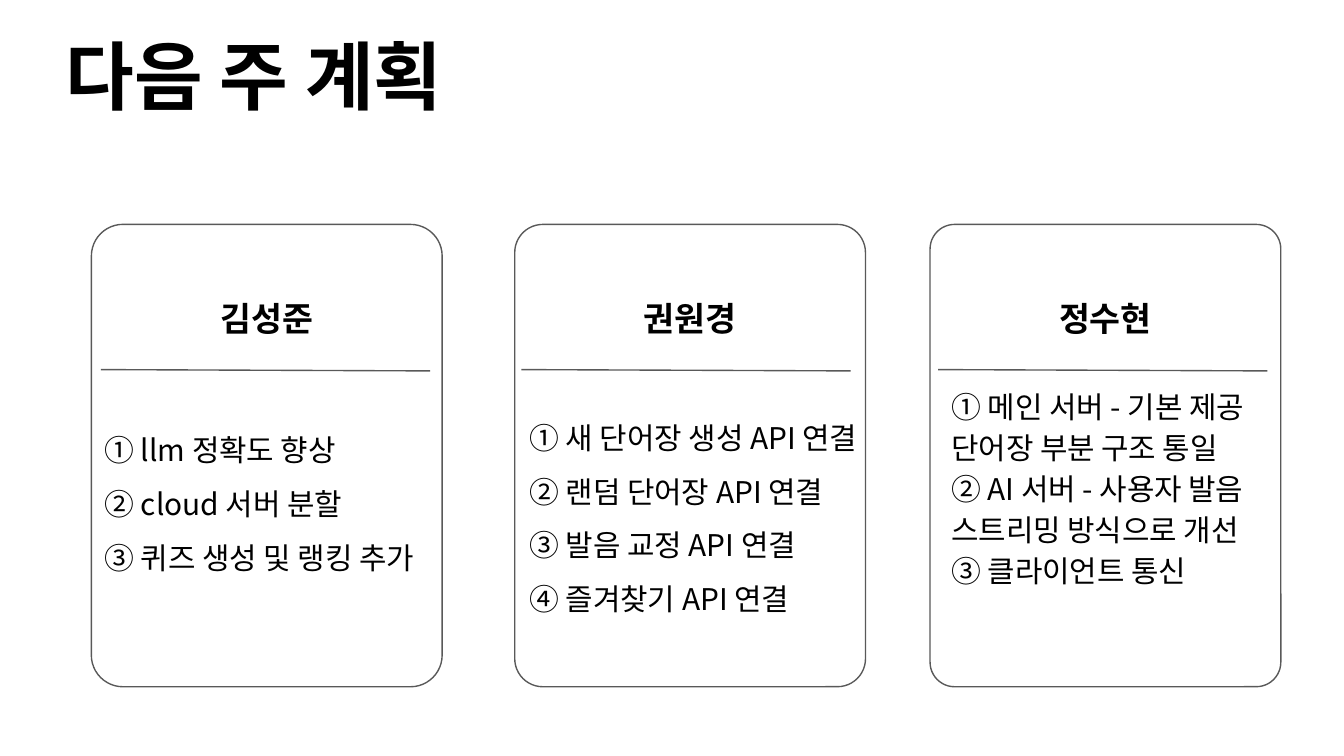
from dataclasses import dataclass

from lxml import etree
from pptx import Presentation
from pptx import util as u
from pptx.dml.color import RGBColor
from pptx.enum import shapes, text
from pptx.oxml import ns

SCALE = 9144  # EMU per px, 100 px to the inch


@dataclass(frozen=True)
class Theme:
    font: str = "Noto Sans CJK KR"
    ink: RGBColor = RGBColor(0, 0, 0)
    edge: RGBColor = RGBColor(0x59, 0x59, 0x59)
    line: float = 0.75
    title: int = 40
    name: int = 18
    body: int = 16


@dataclass(frozen=True)
class Plan:
    name: str
    tasks: list
    left: int
    round: float
    rule: int  # left of the divider, from the card's left
    box: tuple  # body box, from the card's top left
    lead: float
    right: int = 10  # right inset of the body


THEME = Theme()
WIDE = 1000
CARD_TOP, CARD_W, CARD_H = 167, 261, 344
PLANS = [
    Plan("김성준", ["① llm 정확도 향상", "② cloud 서버 분할", "③ 퀴즈 생성 및 랭킹 추가"],
         68, 0.09, 7, (0, 131, 276, 168), 1.5, 6),
    Plan("권원경", ["① 새 단어장 생성 API 연결", "② 랜덤 단어장 API 연결",
                 "③ 발음 교정 API 연결", "④ 즐겨찾기 API 연결"],
         383, 0.08, 5, (1, 122, 268, 209), 1.5),
    Plan("정수현", ["① 메인 서버 - 기본 제공 단어장 부분 구조 통일",
                 "② AI 서버 - 사용자 발음 스트리밍 방식으로 개선", "③ 클라이언트 통신"],
         692, 0.07, 6, (6, 108, 246, 233), 1.15),
]


def px(*vals):
    return [u.Emu(v * SCALE) for v in vals]


def style(line):
    line.color.rgb = THEME.edge
    line.width = u.Pt(THEME.line)


def write(slide, box, lines, size, bold=False, align=text.PP_ALIGN.LEFT,
          lead=1.0, right=10, anchor=text.MSO_ANCHOR.TOP,
          fit=text.MSO_AUTO_SIZE.SHAPE_TO_FIT_TEXT):
    """Add a text box with one paragraph for each line."""
    frame = slide.shapes.add_textbox(*px(*box)).text_frame
    frame.word_wrap = True
    frame.auto_size = fit
    frame.vertical_anchor = anchor
    frame.margin_left, frame.margin_top, frame.margin_bottom = px(10, 10, 10)
    frame.margin_right = px(right)[0]
    frame.text = "\n".join(lines)
    for para in frame.paragraphs:
        para.alignment = align
        para.line_spacing = lead
        font = para.font
        font.name, font.size, font.bold = THEME.font, u.Pt(size), bold
        font.color.rgb = THEME.ink
        # Hangul takes its typeface from a:ea, which follows a:latin
        latin = para._p.pPr.find(".//" + ns.qn("a:latin"))
        latin.addnext(etree.Element(ns.qn("a:ea"), typeface=THEME.font))
        # Kerning would narrow the spaces between words
        latin.getparent().set("kern", "0")


def head(slide, box, label):
    write(slide, box, [label], THEME.title, bold=True,
          anchor=text.MSO_ANCHOR.MIDDLE, fit=text.MSO_AUTO_SIZE.NONE)


def card(slide, box, plan):
    """Draw a person's frame, name, divider and task list."""
    x, y, w, h = box
    frame = slide.shapes.add_shape(
        shapes.MSO_SHAPE.ROUNDED_RECTANGLE, *px(x, y, w, h))
    frame.adjustments[0] = plan.round
    frame.shadow.inherit = False
    frame.fill.background()
    style(frame.line)

    start = x + plan.rule
    rule = slide.shapes.add_connector(
        shapes.MSO_CONNECTOR.STRAIGHT,
        *px(start + 245, y + 109, start, y + 108))
    style(rule.line)
    etree.SubElement(rule._element.spPr, ns.qn("a:effectLst"))

    write(slide, (x + 50, y + 45, w - 100, 50), [plan.name], THEME.name,
          bold=True, align=text.PP_ALIGN.CENTER)
    dx, dy, bw, bh = plan.box
    write(slide, (x + dx, y + dy, bw, bh), plan.tasks, THEME.body,
          lead=plan.lead, right=plan.right)


def main():
    deck = Presentation()
    deck.slide_width = px(WIDE)[0]
    deck.slide_height = u.Emu(deck.slide_width * 9 // 16)
    slide = deck.slides.add_slide(deck.slide_layouts[6])
    head(slide, (39, 24, 932, 63), "다음 주 계획")
    for plan in PLANS:
        card(slide, (plan.left, CARD_TOP, CARD_W, CARD_H), plan)
    deck.save("out.pptx")


if __name__ == "__main__":
    main()
